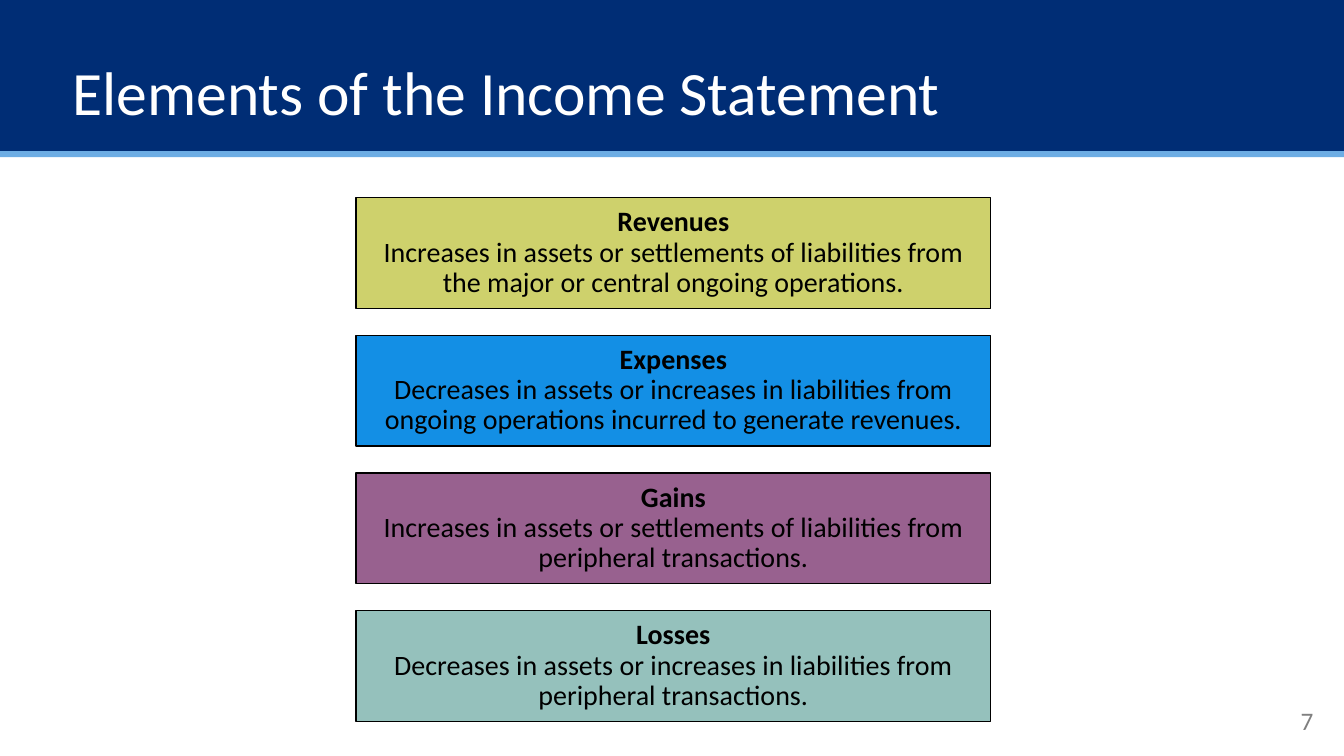
from dataclasses import dataclass

import pptx
import pptx.dml.color
import pptx.enum.shapes
import pptx.enum.text
import pptx.presentation
import pptx.shapes.autoshape
import pptx.slide
import pptx.text.text
import pptx.util

Cm = pptx.util.Cm
Pt = pptx.util.Pt
RGBColor = pptx.dml.color.RGBColor
Align = pptx.enum.text.PP_ALIGN
Anchor = pptx.enum.text.MSO_ANCHOR

NAVY = RGBColor(0x00, 0x2D, 0x75)
SKY = RGBColor(0x6D, 0xAD, 0xE4)
WHITE = RGBColor(0xFF, 0xFF, 0xFF)
BLACK = RGBColor(0x00, 0x00, 0x00)
GRAY = RGBColor(0x80, 0x80, 0x80)
OLIVE = RGBColor(0xCE, 0xD1, 0x6C)
BLUE = RGBColor(0x13, 0x8F, 0xE5)
PLUM = RGBColor(0x98, 0x61, 0x8F)
TEAL = RGBColor(0x95, 0xC1, 0xBC)

SLIDE_W, SLIDE_H = Cm(33.87), Cm(19.05)
CARD_LEFT, CARD_TOP = Cm(8.97), Cm(4.98)
CARD_W, CARD_H = Cm(16), Cm(2.79)
CARD_PITCH = Cm(3.47)

TITLE_FONT = {"name": "Calibri", "size": Pt(44)}
NUMBER_FONT = {"name": "Calibri", "size": Pt(18)}
HEADING_FONT = {"name": "Calibri", "size": Pt(20), "bold": True}
BODY_FONT = {**HEADING_FONT, "bold": False}
TITLE_FRAME = {"word_wrap": True, "vertical_anchor": Anchor.TOP,
               "margin_left": Cm(0.13), "margin_top": Cm(0.17)}
MIDDLE_FRAME = {"word_wrap": True, "vertical_anchor": Anchor.MIDDLE}
TITLE_PARAGRAPH = {"alignment": Align.LEFT, "line_spacing": 0.9}
CARD_PARAGRAPH = {"alignment": Align.CENTER, "line_spacing": 0.9}
NUMBER_PARAGRAPH = {"alignment": Align.RIGHT}


@dataclass(frozen=True)
class Element:
    heading: str
    definition: str
    fill: RGBColor


ELEMENTS = [
    Element("Revenues", "Increases in assets or settlements of liabilities from "
            "the major or central ongoing operations.", OLIVE),
    Element("Expenses", "Decreases in assets or increases in liabilities from "
            "ongoing operations incurred to generate revenues.", BLUE),
    Element("Gains", "Increases in assets or settlements of liabilities from "
            "peripheral transactions.", PLUM),
    Element("Losses", "Decreases in assets or increases in liabilities from "
            "peripheral transactions.", TEAL),
]


def apply(target: object, values: dict) -> None:
    for name, value in values.items():
        setattr(target, name, value)


def write(p: pptx.text.text._Paragraph, text: str, layout: dict,
          font: dict, color: RGBColor) -> None:
    apply(p, layout)
    r = p.add_run()
    r.text = text
    apply(r.font, font)
    r.font.color.rgb = color


def add_rect(s: pptx.slide.Slide, left: int, top: int, width: int, height: int,
             fill: RGBColor) -> pptx.shapes.autoshape.Shape:
    sp = s.shapes.add_shape(pptx.enum.shapes.MSO_SHAPE.RECTANGLE,
                            left, top, width, height)
    sp.shadow.inherit = False
    sp.fill.solid()
    sp.fill.fore_color.rgb = fill
    sp.line.fill.background()
    return sp


def add_text(s: pptx.slide.Slide, left: int, top: int, width: int, height: int,
             text: str, frame: dict, layout: dict, font: dict,
             color: RGBColor) -> None:
    tf = s.shapes.add_textbox(left, top, width, height).text_frame
    apply(tf, frame)
    write(tf.paragraphs[0], text, layout, font, color)


def add_card(s: pptx.slide.Slide, element: Element, top: int) -> None:
    sp = add_rect(s, CARD_LEFT, top, CARD_W, CARD_H, element.fill)
    sp.line.color.rgb = BLACK
    sp.line.width = Pt(1)
    tf = sp.text_frame
    apply(tf, MIDDLE_FRAME)
    write(tf.paragraphs[0], element.heading, CARD_PARAGRAPH, HEADING_FONT, BLACK)
    write(tf.add_paragraph(), element.definition, CARD_PARAGRAPH, BODY_FONT, BLACK)


def main() -> None:
    prs = pptx.Presentation()
    prs.slide_width, prs.slide_height = SLIDE_W, SLIDE_H
    s = prs.slides.add_slide(prs.slide_layouts[6])

    add_rect(s, 0, 0, SLIDE_W, Cm(3.81), NAVY)
    add_rect(s, 0, Cm(3.81), SLIDE_W, Cm(0.15), SKY)
    add_text(s, Cm(25.73), Cm(17.65), Cm(7.62), Cm(1.02), "7",
             MIDDLE_FRAME, NUMBER_PARAGRAPH, NUMBER_FONT, GRAY)
    add_text(s, Cm(1.7), Cm(1.4), Cm(28.55), Cm(1.57),
             "Elements of the Income Statement",
             TITLE_FRAME, TITLE_PARAGRAPH, TITLE_FONT, WHITE)
    for i, element in enumerate(ELEMENTS):
        add_card(s, element, CARD_TOP + i * CARD_PITCH)

    prs.save("out.pptx")


if __name__ == "__main__":
    main()
